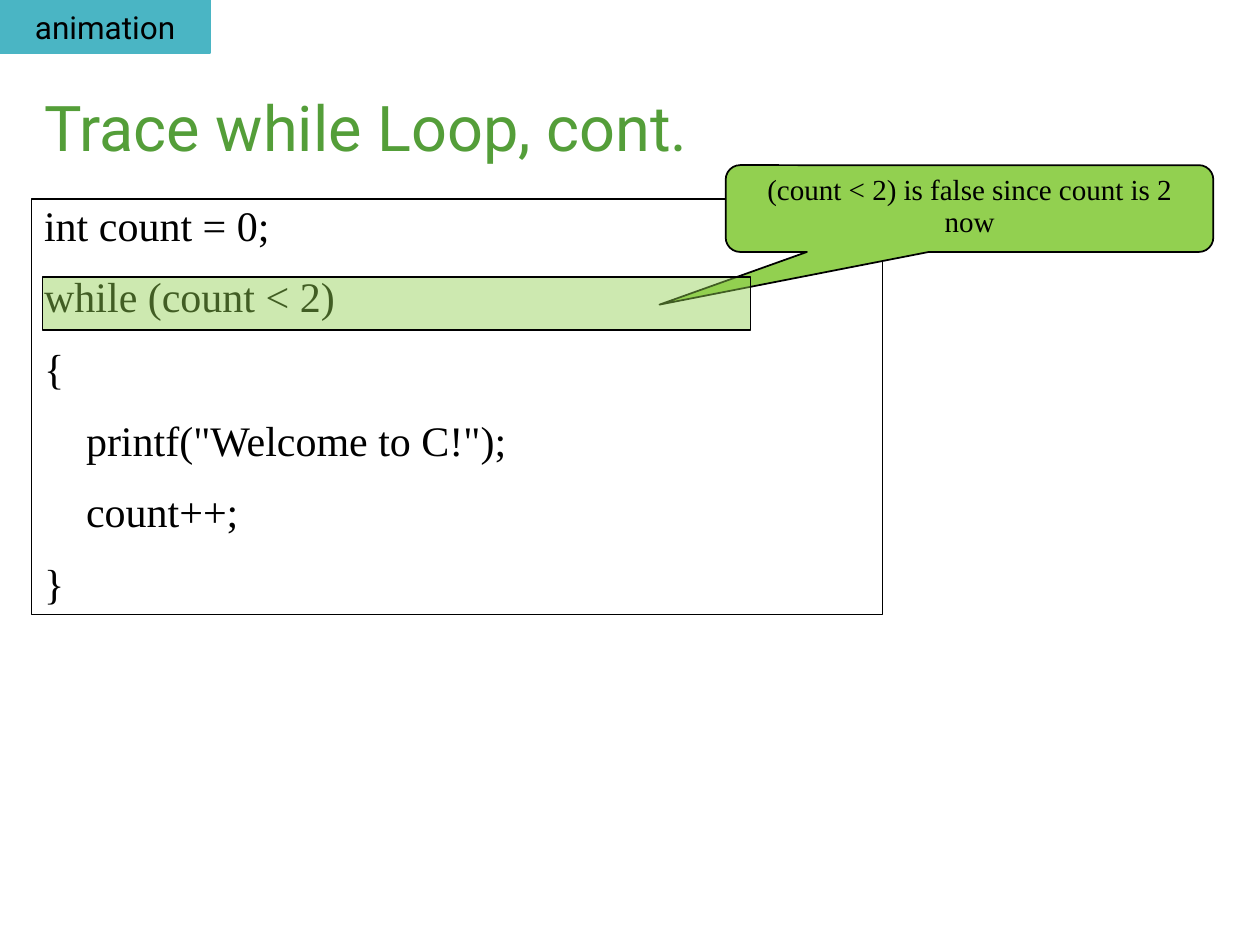
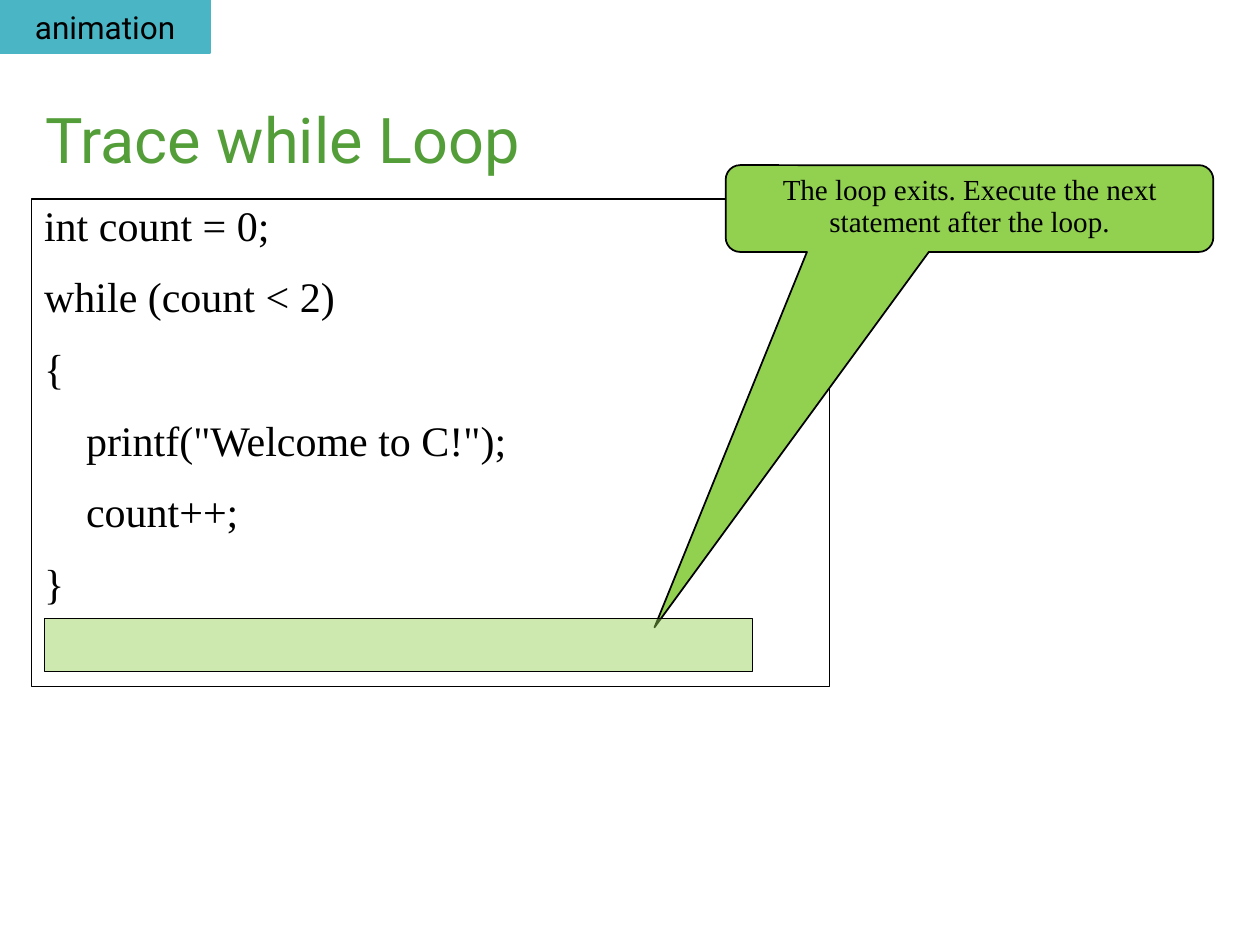
from lxml.etree import SubElement
from pptx import Presentation
from pptx.dml.color import RGBColor
from pptx.enum.shapes import MSO_SHAPE
from pptx.enum.text import MSO_ANCHOR, PP_ALIGN
from pptx.oxml.ns import qn
from pptx.util import Cm, Pt

# Content
CODE = [
    "int count = 0;",
    "while (count < 2)",
    "{",
    '    printf("Welcome to C!");',
    "    count++;",
    "}",
]
TAG = "animation"

# Boxes are left, top, width, height in cm; tip is the callout point
SLIDES = [
    {
        "title": "Trace while Loop, cont.",
        "title_at": (0.64, 1.5),
        "code_size": (17.15, 8.38),
        "note": "(count < 2) is false since count is 2 now",
        "tip": (-0.636, 1.107),
        "highlight_at": (0.86, 5.59),
    },
    {
        "title": "Trace while Loop",
        "title_at": (0.66, 1.73),
        "code_size": (16.08, 9.83),
        "note": "The loop exits. Execute the next statement after the loop.",
        "tip": (-0.646, 4.825),
        "highlight_at": (0.9, 12.47),
    },
]

# Shared style
COLORS = {"title": "549E39", "green": "92D050", "tag": "4AB5C4", "black": "000000"}
SANS, SERIF = "Roboto", "Times New Roman"
TITLE_SIZE = (21.59, 2.11)
CODE_AT = (0.64, 4.01)
NOTE_BOX = (14.63, 3.33, 9.83, 1.75)
HIGHLIGHT_SIZE = (14.27, 1.07)
TAG_BOX = (0, 0, 4.24, 1.07)


def color(name):
    return RGBColor.from_string(COLORS[name])


def add_box(s, preset, box, fill=None, line="black", width=1):
    sp = s.shapes.add_shape(preset, *map(Cm, box))
    sp.shadow.inherit = False
    if fill:
        sp.fill.solid()
        sp.fill.fore_color.rgb = color(fill)
    else:
        sp.fill.background()
    sp.line.color.rgb = color(line)
    sp.line.width = Pt(width)
    return sp


def write(sp, lines, font, size, ink="black", align=PP_ALIGN.LEFT,
          anchor=MSO_ANCHOR.TOP, spacing=1.0, gap=0, wrap=True):
    tf = sp.text_frame
    tf.word_wrap = wrap
    tf.vertical_anchor = anchor
    for i, line in enumerate(lines):
        p = tf.add_paragraph() if i else tf.paragraphs[0]
        p.text = line
        p.alignment = align
        p.line_spacing = spacing
        p.space_before = Pt(gap if i else 0)
        p.font.name = font
        p.font.size = Pt(size)
        p.font.color.rgb = color(ink)


def add_slide(prs, data):
    s = prs.slides.add_slide(prs.slide_layouts[5])

    # Title
    title = s.shapes.title
    title.left, title.top, title.width, title.height = map(
        Cm, data["title_at"] + TITLE_SIZE)
    write(title, [data["title"]], SANS, 36, "title", anchor=MSO_ANCHOR.MIDDLE)

    # Code listing
    code = add_box(s, MSO_SHAPE.RECTANGLE, CODE_AT + data["code_size"], width=0.75)
    write(code, CODE, SERIF, 24, spacing=0.9, gap=15)

    # Callout
    note = add_box(s, MSO_SHAPE.ROUNDED_RECTANGULAR_CALLOUT, NOTE_BOX, "green")
    for i, value in enumerate(data["tip"]):
        note.adjustments[i] = value
    write(note, [data["note"]], SERIF, 16.6, align=PP_ALIGN.CENTER, spacing=0.9)

    # Translucent bar over the current line
    bar = add_box(s, MSO_SHAPE.RECTANGLE, data["highlight_at"] + HIGHLIGHT_SIZE, "green")
    tint = bar.fill._xPr.find(qn("a:solidFill"))[0]
    SubElement(tint, qn("a:alpha"), val="45000")

    # Corner tag
    tag = add_box(s, MSO_SHAPE.RECTANGLE, TAG_BOX, "tag", "tag")
    write(tag, [TAG], SANS, 18, align=PP_ALIGN.CENTER,
          anchor=MSO_ANCHOR.MIDDLE, wrap=False)


def main():
    prs = Presentation()
    prs.slide_width, prs.slide_height = Cm(25.4), Cm(19.05)
    for data in SLIDES:
        add_slide(prs, data)
    prs.save("out.pptx")


if __name__ == "__main__":
    main()
